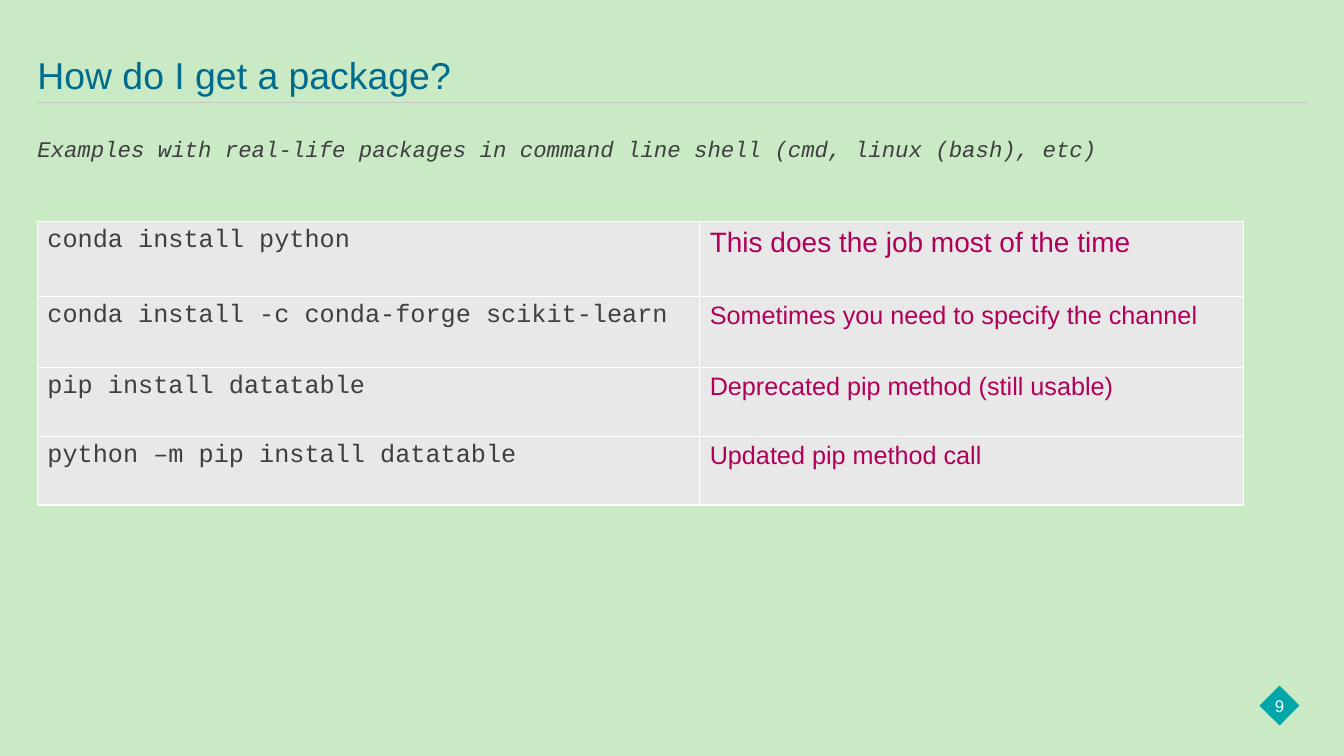
from lxml import etree
from pptx import Presentation
from pptx.dml.color import RGBColor
from pptx.enum.shapes import MSO_CONNECTOR, MSO_SHAPE
from pptx.enum.text import MSO_ANCHOR, PP_ALIGN
from pptx.oxml.ns import qn
from pptx.util import Inches, Pt

LINE = MSO_CONNECTOR.STRAIGHT
RECT = MSO_SHAPE.RECTANGLE
TOP, MIDDLE, BOTTOM = MSO_ANCHOR.TOP, MSO_ANCHOR.MIDDLE, MSO_ANCHOR.BOTTOM
LEFT, CENTER = PP_ALIGN.LEFT, PP_ALIGN.CENTER

SANS, MONO = "Arial", "Courier New"
GREEN, TEAL, BLUE = "C9EAC5", "00A6AA", "006B8D"
DARK, PINK, GREY, RULE, WHITE = "3F3F3F", "B10058", "E8E8E8", "C6C6C6", "FFFFFF"

MARGIN = 0.37
COLS = [6.57, 5.39]
ROWS = [0.74, 0.71, 0.68, 0.68]
# Command, remark, size of the remark
COMMANDS = [
    ("conda install python", "This does the job most of the time", 20),
    ("conda install -c conda-forge scikit-learn",
     "Sometimes you need to specify the channel", 18),
    ("pip install datatable", "Deprecated pip method (still usable)", 18),
    ("python –m pip install datatable", "Updated pip method call", 18),
]


def paint(target, color):
    target.fill.solid()
    target.fill.fore_color.rgb = RGBColor.from_string(color)


def style(para, size, font, color, italic=False):
    for run in para.runs:
        run.font.size = Pt(size)
        run.font.name = font
        run.font.italic = italic
        run.font.color.rgb = RGBColor.from_string(color)


def add_text(slide, box, text, size, font, color,
             anchor=TOP, align=LEFT, italic=False, spacing=1.0):
    frame = slide.shapes.add_textbox(*map(Inches, box)).text_frame
    frame.word_wrap = True
    frame.vertical_anchor = anchor
    frame.margin_left = frame.margin_right = 0
    frame.margin_top = frame.margin_bottom = 0
    frame.text = text
    para = frame.paragraphs[0]
    para.alignment = align
    para.line_spacing = spacing
    style(para, size, font, color, italic)


def add_rule(slide, left, right, y):
    rule = slide.shapes.add_connector(LINE, *map(Inches, (left, y, right, y)))
    rule.line.color.rgb = RGBColor.from_string(RULE)
    rule.line.width = Pt(0.5)
    etree.SubElement(rule._element.spPr, qn("a:effectLst"))


def add_badge(slide, number):
    """Slide number on a square turned to stand on its corner."""
    badge = slide.shapes.add_shape(RECT, *map(Inches, (12.55, 6.86, 0.28, 0.28)))
    badge.rotation = 44.9
    badge.shadow.inherit = False
    paint(badge, TEAL)
    badge.line.fill.background()
    add_text(slide, (12.43, 6.9, 0.52, 0.2), number, 12, SANS, WHITE,
             MIDDLE, CENTER)


def add_borders(cell, color):
    props = cell._tc.get_or_add_tcPr()
    for index, side in enumerate(("lnL", "lnR", "lnT", "lnB")):
        edge = etree.Element(qn("a:" + side), w=str(Pt(1)))
        solid = etree.SubElement(edge, qn("a:solidFill"))
        etree.SubElement(solid, qn("a:srgbClr"), val=color)
        props.insert(index, edge)


def fill_cell(cell, text, size, font, color):
    cell.text = text
    style(cell.text_frame.paragraphs[0], size, font, color)
    paint(cell, GREY)
    add_borders(cell, WHITE)


def add_commands(slide, left, top):
    box = map(Inches, (left, top, sum(COLS), sum(ROWS)))
    table = slide.shapes.add_table(len(ROWS), len(COLS), *box).table
    table.first_row = table.horz_banding = False
    for col, width in zip(table.columns, COLS):
        col.width = Inches(width)
    for row, height, (command, remark, size) in zip(table.rows, ROWS, COMMANDS):
        row.height = Inches(height)
        fill_cell(row.cells[0], command, 18, MONO, DARK)
        fill_cell(row.cells[1], remark, size, SANS, PINK)


def main():
    deck = Presentation()
    deck.slide_width, deck.slide_height = Inches(13.33), Inches(7.5)
    slide = deck.slides.add_slide(deck.slide_layouts[6])
    paint(slide.background, GREEN)
    add_badge(slide, "9")
    add_rule(slide, MARGIN, 12.96, 1.02)
    add_text(slide, (MARGIN, 1.34, 12.58, 5.25),
             "Examples with real-life packages in command line shell "
             "(cmd, linux (bash), etc)", 16, MONO, DARK, italic=True)
    add_text(slide, (MARGIN, 0.39, 12.58, 0.58), "How do I get a package?",
             26.7, SANS, BLUE, BOTTOM, spacing=0.9)
    add_commands(slide, MARGIN, 2.2)
    deck.save("out.pptx")


if __name__ == "__main__":
    main()
